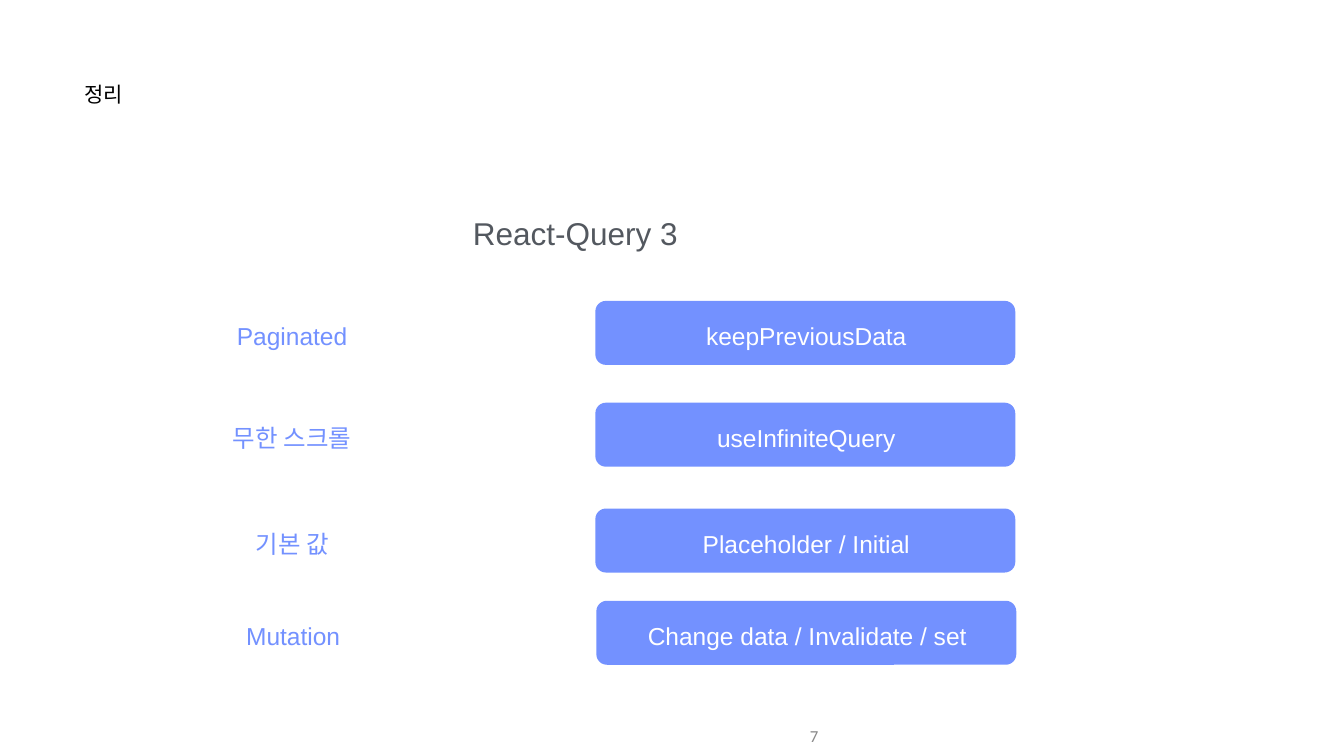
from dataclasses import dataclass

from pptx import Presentation
from pptx.dml.color import RGBColor
from pptx.enum.shapes import MSO_SHAPE as Shape
from pptx.enum.text import MSO_ANCHOR as Anchor, PP_ALIGN as Align
from pptx.slide import Slide
from pptx.util import Inches, Pt

HUES = {
    "black": "000000",
    "blue": "7391FF",
    "white": "FFFFFF",
    "slate": "53585F",
    "gray": "888888",
}


@dataclass
class Label:
    text: str
    left: float
    top: float
    width: float
    height: float
    size: int
    hue: str
    align: Align = Align.CENTER
    anchor: Anchor = Anchor.MIDDLE
    font: str = "Arial"
    inset: tuple[float, float] = (0.01, 0.01)


@dataclass
class Row:
    topic: str
    answer: str
    top: float
    shift: float = 0


ROWS = [
    Row("Paginated", "keepPreviousData", 5.97),
    Row("무한 스크롤", "useInfiniteQuery", 7.99),
    Row("기본 값", "Placeholder / Initial", 10.09),
    Row("Mutation", "Change data / Invalidate / set", 11.92, 0.02),
]


def color(hue: str) -> RGBColor:
    return RGBColor.from_string(HUES[hue])


def write(slide: Slide, label: Label) -> None:
    box = slide.shapes.add_textbox(
        Inches(label.left), Inches(label.top), Inches(label.width), Inches(label.height)
    )
    frame = box.text_frame
    frame.word_wrap = True
    frame.vertical_anchor = label.anchor
    side, edge = label.inset
    frame.margin_left = frame.margin_right = Inches(side)
    frame.margin_top = frame.margin_bottom = Inches(edge)
    para = frame.paragraphs[0]
    para.text = label.text
    para.alignment = label.align
    para.font.name = label.font
    para.font.size = Pt(label.size)
    para.font.color.rgb = color(label.hue)


def draw(slide: Slide, row: Row) -> None:
    left = 11.81 + row.shift
    bar = slide.shapes.add_shape(
        Shape.ROUNDED_RECTANGLE, Inches(left), Inches(row.top), Inches(8.33), Inches(1.27)
    )
    bar.adjustments[0] = 0.164
    bar.shadow.inherit = False
    bar.fill.solid()
    bar.fill.fore_color.rgb = color("blue")
    bar.line.fill.background()
    top = row.top + 0.38
    write(slide, Label(row.topic, 2.67 + row.shift, top, 6.25, 0.62, 35, "blue"))
    write(slide, Label(row.answer, left + 0.02, top, 8.33, 0.62, 35, "white"))


def main() -> None:
    deck = Presentation()
    deck.slide_width = Inches(26.66)
    deck.slide_height = Inches(15)
    slide = deck.slides.add_slide(deck.slide_layouts[6])
    write(slide, Label("정리", 1.67, 1.6, 4.86, 1.18, 30, "black", Align.LEFT, Anchor.TOP))
    write(slide, Label("React-Query 3", 2.64, 4.24, 17.54, 0.79, 45, "slate", anchor=Anchor.TOP))
    for row in ROWS:
        draw(slide, row)
    write(
        slide,
        Label("7", 10.33, 14.21, 6, 0.79, 24, "gray", Align.RIGHT, font="Calibri", inset=(0.1, 0.05)),
    )
    deck.save("out.pptx")


if __name__ == "__main__":
    main()
